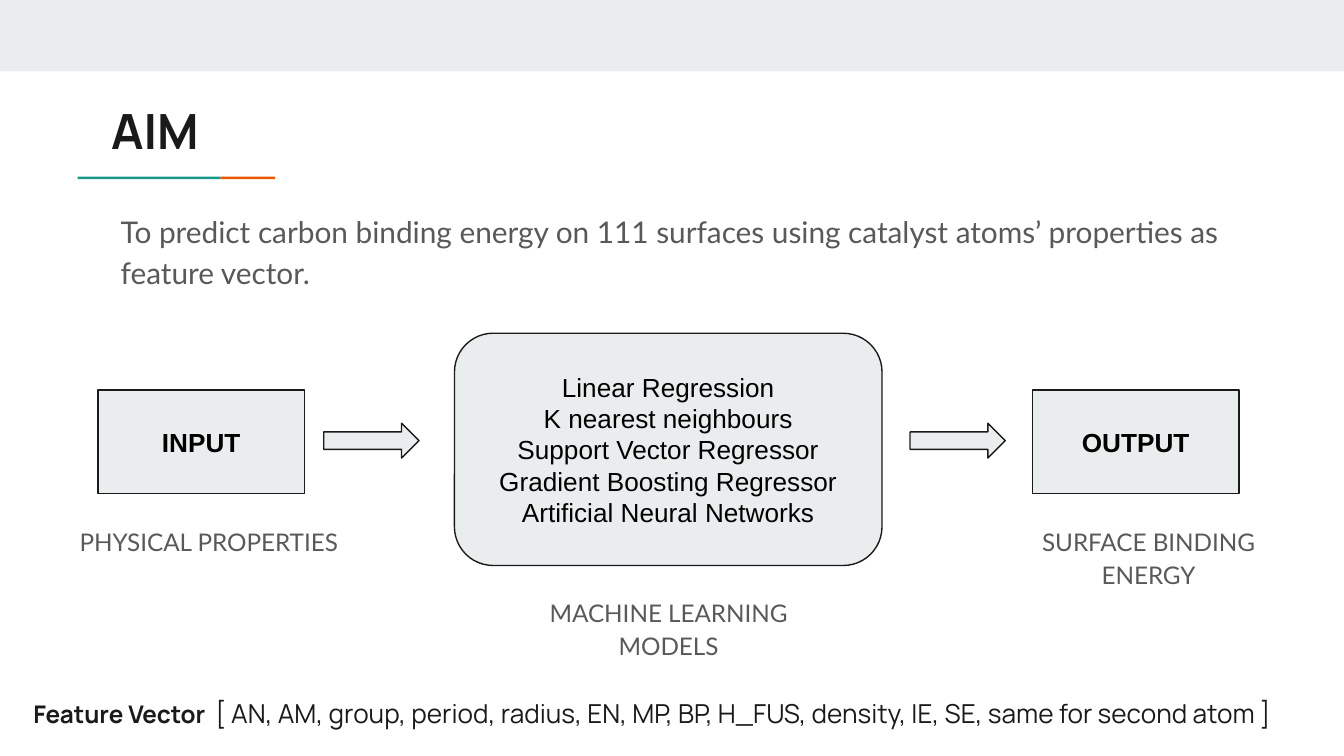
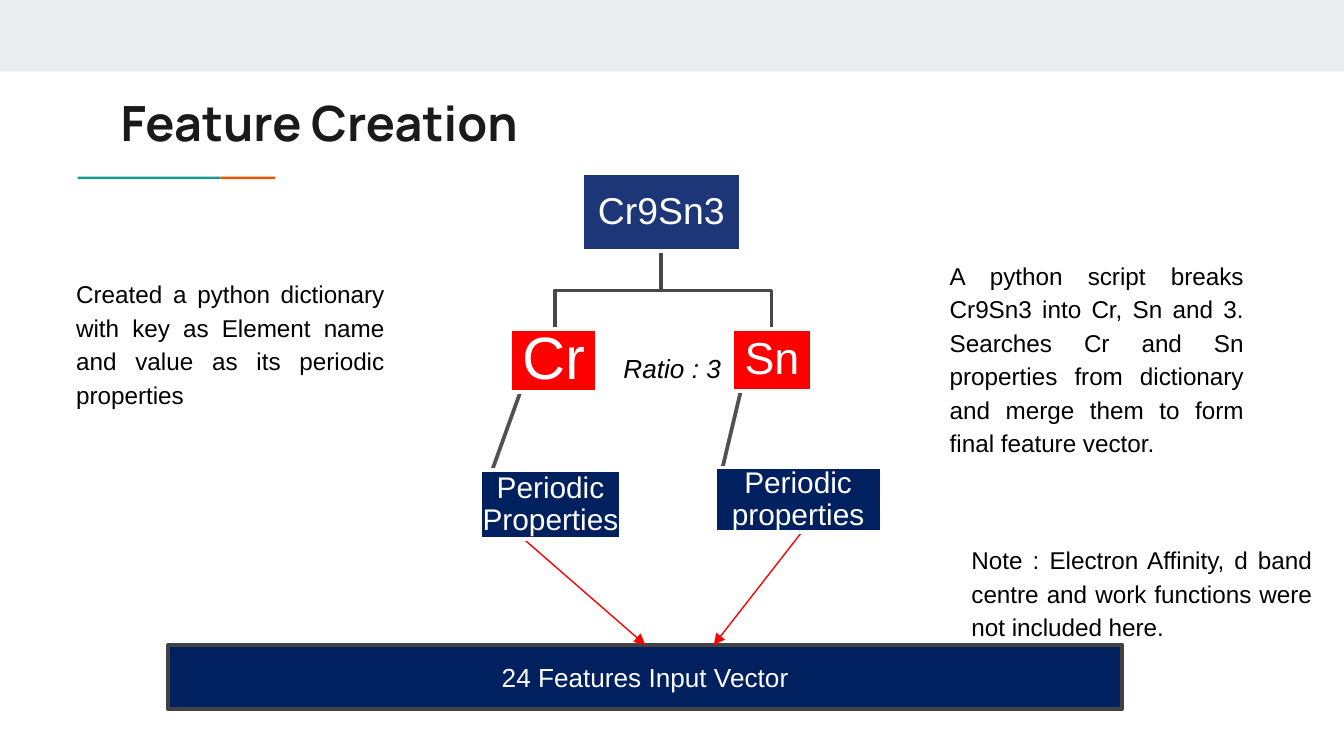
from lxml import etree
from pptx import Presentation
from pptx.dml.color import RGBColor
from pptx.enum.shapes import MSO_CONNECTOR, MSO_SHAPE
from pptx.enum.text import MSO_ANCHOR, MSO_AUTO_SIZE, PP_ALIGN
from pptx.oxml.ns import qn
from pptx.util import Cm, Pt

rgb = RGBColor.from_string
PALE, INK, GREY = "E9EDEE", "1A1A1A", "595959"
TEAL, ORANGE = "1A9988", "EB5600"
NAVY, ROOT_BLUE, RED = "002060", "1C3678", "FF0000"
BLACK, WHITE, BAR_EDGE = "000000", "FFFFFF", "424242"
LEFT, CENTER, JUSTIFY = PP_ALIGN.LEFT, PP_ALIGN.CENTER, PP_ALIGN.JUSTIFY
TOP, MIDDLE = MSO_ANCHOR.TOP, MSO_ANCHOR.MIDDLE
RECTANGLE = MSO_SHAPE.RECTANGLE


def add_box(slide, kind, place, fill, line=None, width=0.75):
    shape = slide.shapes.add_shape(kind, *map(Cm, place))
    shape.shadow.inherit = False
    shape.fill.solid()
    shape.fill.fore_color.rgb = rgb(fill)
    if line:
        shape.line.color.rgb = rgb(line)
        shape.line.width = Pt(width)
    else:
        shape.line.fill.background()
    return shape


def write(shape, lines, size, color=BLACK, name="Arial", align=CENTER, anchor=MIDDLE,
          spacing=1.0, inset=0.25, bold=False, italic=False):
    frame = shape.text_frame
    frame.word_wrap = True
    frame.auto_size = MSO_AUTO_SIZE.NONE
    frame.vertical_anchor = anchor
    frame.margin_left = frame.margin_right = Cm(inset)
    frame.margin_top = frame.margin_bottom = Cm(inset)
    frame.text = lines
    for paragraph in frame.paragraphs:
        properties = paragraph._p.get_or_add_pPr()
        properties.set("marL", "0")
        properties.set("indent", "0")
        etree.SubElement(properties, qn("a:buNone"))
        paragraph.alignment = align
        paragraph.line_spacing = spacing
        paragraph.space_before = Pt(0)
        font = paragraph.font
        font.name, font.size, font.color.rgb = name, Pt(size), rgb(color)
        font.bold, font.italic = bold, italic


presentation = Presentation()
presentation.slide_width, presentation.slide_height = Cm(25.4), Cm(14.29)

# Shared band, underline, title and body position
pages = [
    ("AIM", (1.85, 1.65, 21.36, 1.5), (2.03, 3.68, 23.09, 1.37)),
    ("Feature Creation", (2.03, 1.5, 21.36, 1.5), (10.52, 6.32, 4.37, 1.27)),
]
for title, title_place, body_place in pages:
    slide = presentation.slides.add_slide(presentation.slide_layouts[1])
    add_box(slide, RECTANGLE, (0, 0, 25.4, 1.35), PALE)
    add_box(slide, RECTANGLE, (1.47, 3.34, 2.7, 0.05), TEAL)
    add_box(slide, RECTANGLE, (4.17, 3.34, 1.03, 0.05), ORANGE)
    for holder, place in zip(slide.placeholders, (title_place, body_place)):
        holder.left, holder.top, holder.width, holder.height = map(Cm, place)
    write(slide.shapes.title, title, 26, INK, "Manrope", LEFT, TOP, bold=True)
aim, creation = presentation.slides

# Aim: statement and captions
write(aim.placeholders[1],
      "To predict carbon binding energy on 111 surfaces using catalyst atoms’ properties "
      "as feature vector.", 16, GREY, "Lato", LEFT, TOP, 1.15)
for caption, left, top in [("PHYSICAL PROPERTIES", 1.24, 9.63),
                           ("SURFACE BINDING ENERGY", 19, 9.63),
                           ("MACHINE LEARNING MODELS", 9.93, 10.97)]:
    box = aim.shapes.add_textbox(Cm(left), Cm(top), Cm(5.41), Cm(1.5))
    write(box, caption, 13, GREY, "Lato", CENTER, TOP, 1.15)

# Aim: flow from input to output
for label, left in [("INPUT", 1.85), ("OUTPUT", 19.51)]:
    box = add_box(aim, RECTANGLE, (left, 7.37, 3.91, 1.96), PALE, INK)
    write(box, label, 14, bold=True)
models = add_box(aim, MSO_SHAPE.ROUNDED_RECTANGLE, (8.59, 6.3, 8.08, 4.39), PALE, INK)
write(models, "Linear Regression\nK nearest neighbours\nSupport Vector Regressor\n"
      "Gradient Boosting Regressor\nArtificial Neural Networks", 14)
for left in (6.12, 17.2):
    add_box(aim, MSO_SHAPE.RIGHT_ARROW, (left, 8, 1.8, 0.66), PALE, INK)

# Aim: feature vector line
vector = aim.shapes.add_textbox(Cm(0.38), Cm(12.47), Cm(24.74), Cm(1.96))
write(vector, "", 14, INK, "Manrope", LEFT, TOP)
for text, size, bold in [
    ("Feature Vector", 13, True),
    (" ", 27, True),
    ("[ AN, AM, group, period, radius, EN, MP, BP, H_FUS, density, IE, SE, "
     "same for second atom ]", 14, False),
]:
    run = vector.text_frame.paragraphs[0].add_run()
    run.text, run.font.size, run.font.bold = text, Pt(size), bold

# Feature creation: branches of the tree
for child in (14.58, 10.49):
    builder = creation.shapes.build_freeform(Cm(12.5), Cm(4.75))
    corners = [(12.5, 5.49), (child, 5.49), (child, 6.22)]
    builder.add_line_segments([(Cm(x), Cm(y)) for x, y in corners], close=False)
    branch = builder.convert_to_shape()
    branch.shadow.inherit = False
    branch.fill.background()
    branch.line.color.rgb, branch.line.width = rgb("474747"), Pt(2)

# Feature creation: straight links and red arrows, with the bar they reach
bar = add_box(creation, RECTANGLE, (3.18, 12.19, 18.03, 1.22), NAVY, BAR_EDGE, 2)
write(bar, "24 Features Input Vector", 14, WHITE)
for ends, color, width, target in [
    ((14, 7.39, 13.51, 9.45), "515151", 2, None),
    ((9.83, 7.42, 9.07, 9.53), "515151", 2, None),
    ((15.19, 10.01, 13.49, 12.19), RED, 0.75, None),
    ((9.83, 10.13, 12.19, 12.19), RED, 0.75, bar),
]:
    link = creation.shapes.add_connector(MSO_CONNECTOR.STRAIGHT, *map(Cm, ends))
    link.line.color.rgb, link.line.width = rgb(color), Pt(width)
    if target:
        link.end_connect(target, 0)
    if color == RED:
        etree.SubElement(link.line._get_or_add_ln(), qn("a:tailEnd"), type="triangle")
    etree.SubElement(link._element.spPr, qn("a:effectLst"))

# Feature creation: boxes of the tree
for label, place, fill, size in [
    ("Cr9Sn3", (11, 3.28, 3, 1.47), ROOT_BLUE, 20),
    ("Cr", (9.65, 6.22, 1.63, 1.19), RED, 32),
    ("Periodic Properties", (9.07, 8.89, 2.67, 1.3), NAVY, 16),
    ("Sn", (13.84, 6.22, 1.5, 1.17), RED, 24),
    ("Periodic properties", (13.51, 8.84, 3.15, 1.22), NAVY, 16),
]:
    box = add_box(creation, RECTANGLE, place, fill, WHITE, 2)
    write(box, label, size, WHITE, spacing=0.9, inset=0.02)
write(creation.placeholders[1], "Ratio : 3", 14, anchor=TOP, spacing=1.15, italic=True)

# Feature creation: side notes
for note, place in [
    ("A python script breaks Cr9Sn3 into Cr, Sn and 3. Searches Cr and Sn properties from "
     "dictionary and merge them to form final feature vector.", (17.7, 4.6, 6.05, 6.02)),
    ("Created a python dictionary with key as Element name and value as its periodic "
     "properties", (1.19, 4.95, 6.32, 3.05)),
    ("Note : Electron Affinity, d band centre and work functions were not included here.",
     (18.11, 9.98, 6.93, 2.41)),
]:
    box = creation.shapes.add_textbox(*map(Cm, place))
    write(box, note, 13, align=JUSTIFY, anchor=TOP, spacing=1.15)

presentation.save("out.pptx")
